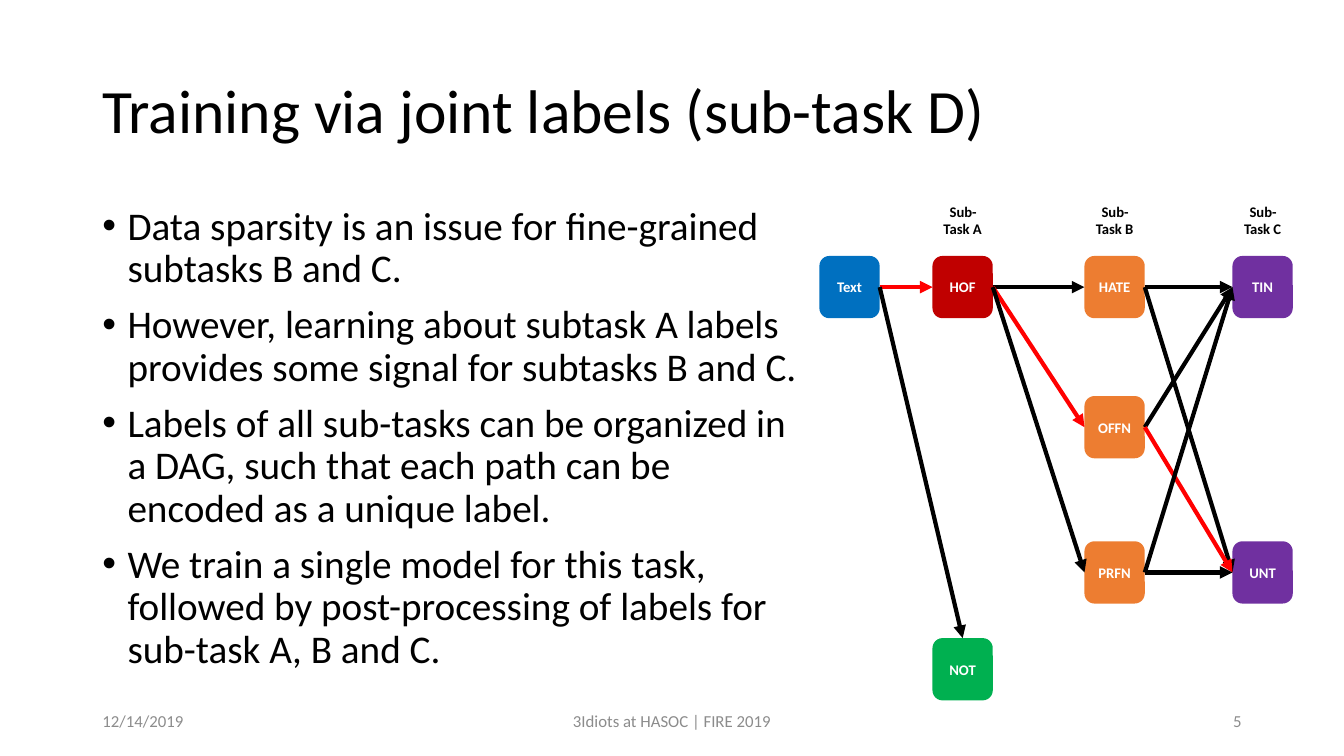
from lxml import etree
from pptx import Presentation
from pptx.dml.color import RGBColor
from pptx.enum import shapes, text
from pptx.oxml import ns
from pptx.util import Cm, Pt

COLORS = {
    "black": "000000", "white": "FFFFFF", "gray": "8C8C8C", "red": "FF0000",
    "text": "0070C0", "hateful": "C00000", "clean": "00B050",
    "kind": "ED7D31", "target": "7030A0",
}
ALIGN = text.PP_ALIGN
ANCHOR = text.MSO_ANCHOR

POINTS = [
    "Data sparsity is an issue for fine-grained subtasks B and C.",
    "However, learning about subtask A labels provides some signal for subtasks B and C.",
    "Labels of all sub-tasks can be organized in a DAG, such that each path can be encoded as a unique label.",
    "We train a single model for this task, followed by post-processing of labels for sub-task A, B and C.",
]

# Offsets in cm from the corner of the graph
COLUMNS = [0, 2.85, 6.68, 10.41]
ROWS = [1.47, 5, 8.66, 11.1]
NODE_WIDTH, NODE_HEIGHT = 1.52, 1.57
HEADING_WIDTH, HEADING_HEIGHT = 1.8, 1.19
NODES = {  # label: column, row, color
    "Text": (0, 0, "text"),
    "HOF": (1, 0, "hateful"),
    "NOT": (1, 3, "clean"),
    "HATE": (2, 0, "kind"),
    "OFFN": (2, 1, "kind"),
    "PRFN": (2, 2, "kind"),
    "TIN": (3, 0, "target"),
    "UNT": (3, 2, "target"),
}
EDGES = [
    ("Text", "HOF"), ("Text", "NOT"),
    ("HOF", "HATE"), ("HOF", "OFFN"), ("HOF", "PRFN"),
    ("HATE", "TIN"), ("HATE", "UNT"),
    ("OFFN", "TIN"), ("OFFN", "UNT"),
    ("PRFN", "TIN"), ("PRFN", "UNT"),
]
RED_PATH = ["Text", "HOF", "OFFN", "UNT"]
TOP, LEFT, RIGHT = 0, 1, 3


def rgb(name):
    return RGBColor.from_string(COLORS[name])


def write(box, lines, size, color="black", bold=False, align=ALIGN.LEFT,
          anchor=ANCHOR.TOP, spacing=1.0, before=0, bullet=False):
    """Fill a shape with one paragraph per line."""
    frame = box.text_frame
    frame.word_wrap = True
    frame.vertical_anchor = anchor
    for index, line in enumerate(lines):
        para = frame.paragraphs[0] if index == 0 else frame.add_paragraph()
        para.alignment = align
        para.line_spacing = spacing
        para.space_before = Pt(before)
        if bullet:
            add_bullet(para)
        span = para.add_run()
        span.text = line
        span.font.name = "Calibri"
        span.font.size = Pt(size)
        span.font.bold = bold
        span.font.color.rgb = rgb(color)


def add_bullet(para):
    props = para._p.get_or_add_pPr()
    indent = Cm(0.635)
    props.set("marL", str(indent))
    props.set("indent", str(-indent))
    etree.SubElement(props, ns.qn("a:buFont"), typeface="Arial")
    etree.SubElement(props, ns.qn("a:buChar"), char="•")


def add_text(holder, left, top, width, height, lines, **style):
    box = holder.add_textbox(Cm(left), Cm(top), Cm(width), Cm(height))
    write(box, lines, **style)


def add_node(holder, left, top, label, color):
    node = holder.add_shape(shapes.MSO_SHAPE.ROUNDED_RECTANGLE, Cm(left), Cm(top),
                            Cm(NODE_WIDTH), Cm(NODE_HEIGHT))
    node.shadow.inherit = False
    node.fill.solid()
    node.fill.fore_color.rgb = rgb(color)
    node.line.fill.background()
    node.text_frame.margin_left = node.text_frame.margin_right = 0
    write(node, [label], size=10.5, color="white", bold=True,
          align=ALIGN.CENTER, anchor=ANCHOR.MIDDLE)
    return node


def add_arrow(holder, start, end, end_side, color):
    arrow = holder.add_connector(shapes.MSO_CONNECTOR.STRAIGHT, start.left, start.top,
                                 end.left, end.top)
    arrow.begin_connect(start, RIGHT)
    arrow.end_connect(end, end_side)
    arrow.line.width = Pt(3)
    arrow.line.color.rgb = rgb(color)
    etree.SubElement(arrow.line._get_or_add_ln(), ns.qn("a:tailEnd"), type="triangle")
    etree.SubElement(arrow._element.spPr, ns.qn("a:effectLst"))


def add_graph(page, left, top):
    """Draw the label graph with its sub-task headings."""
    graph = page.shapes.add_group_shape().shapes
    nodes = {
        label: add_node(graph, left + COLUMNS[column], top + ROWS[row], label, color)
        for label, (column, row, color) in NODES.items()
    }
    for column, task in zip(COLUMNS[1:], "ABC"):
        add_text(graph, left + column + (NODE_WIDTH - HEADING_WIDTH) / 2, top,
                 HEADING_WIDTH, HEADING_HEIGHT, [f"Sub-Task {task}"],
                 size=10.5, bold=True, align=ALIGN.CENTER)
    red_edges = list(zip(RED_PATH, RED_PATH[1:]))
    for start, end in EDGES:
        add_arrow(graph, nodes[start], nodes[end], TOP if end == "NOT" else LEFT,
                  "red" if (start, end) in red_edges else "black")


def add_footer(page, left, top, width, height):
    side, middle = 7.62, 11.43
    parts = [
        (left, side, "12/14/2019", ALIGN.LEFT),
        (left + (width - middle) / 2, middle, "3Idiots at HASOC | FIRE 2019", ALIGN.CENTER),
        (left + width - side, side, "5", ALIGN.RIGHT),
    ]
    for part_left, part_width, words, align in parts:
        add_text(page.shapes, part_left, top, part_width, height, [words],
                 size=12, color="gray", align=align, anchor=ANCHOR.MIDDLE)


def main():
    deck = Presentation()
    deck.slide_width, deck.slide_height = Cm(33.87), Cm(19.05)
    page = deck.slides.add_slide(deck.slide_layouts[6])
    margin, width = 2.33, 29.21
    add_text(page.shapes, margin, 1.01, width, 3.68,
             ["Training via joint labels (sub-task D)"],
             size=44, anchor=ANCHOR.MIDDLE, spacing=0.9)
    add_text(page.shapes, margin, 5.07, 18.21, 12.09, POINTS,
             size=28, spacing=0.9, before=10, bullet=True)
    add_footer(page, margin, 17.66, width, 1.01)
    add_graph(page, 20.65, 4.98)
    deck.save("out.pptx")


if __name__ == "__main__":
    main()
